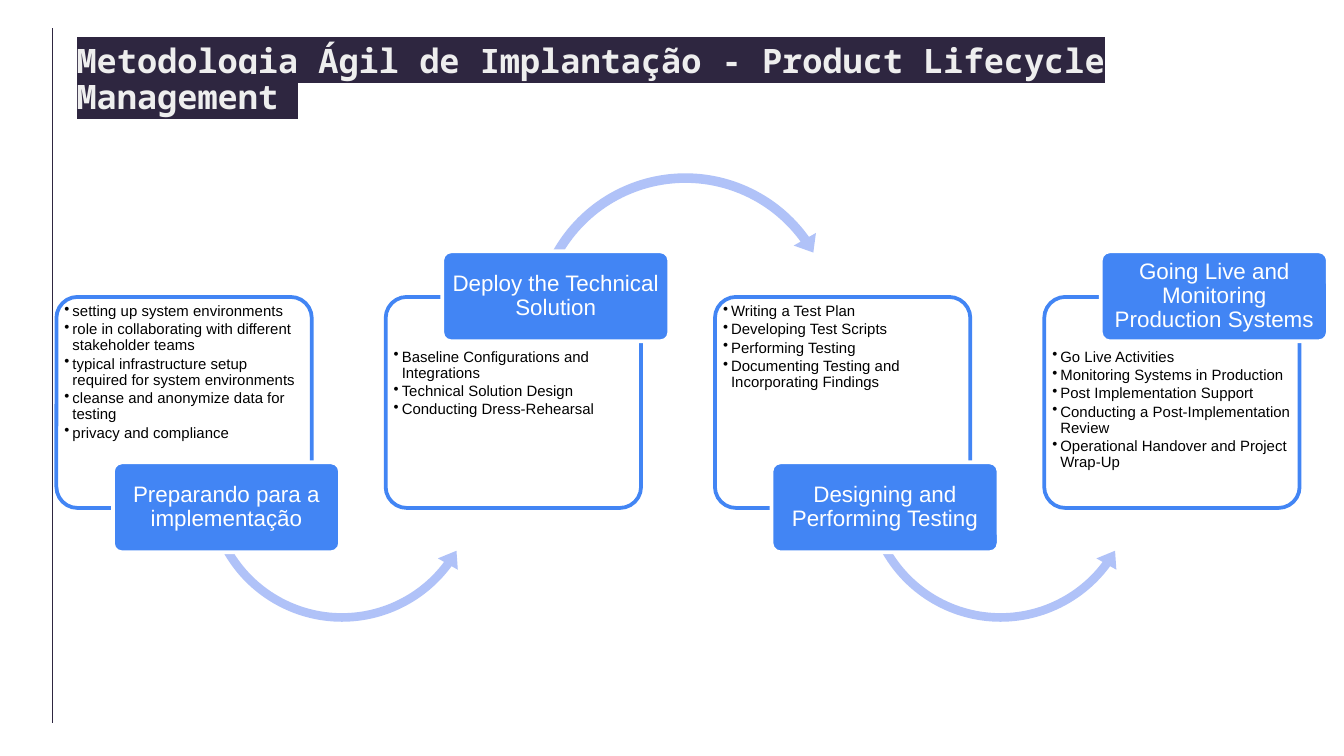
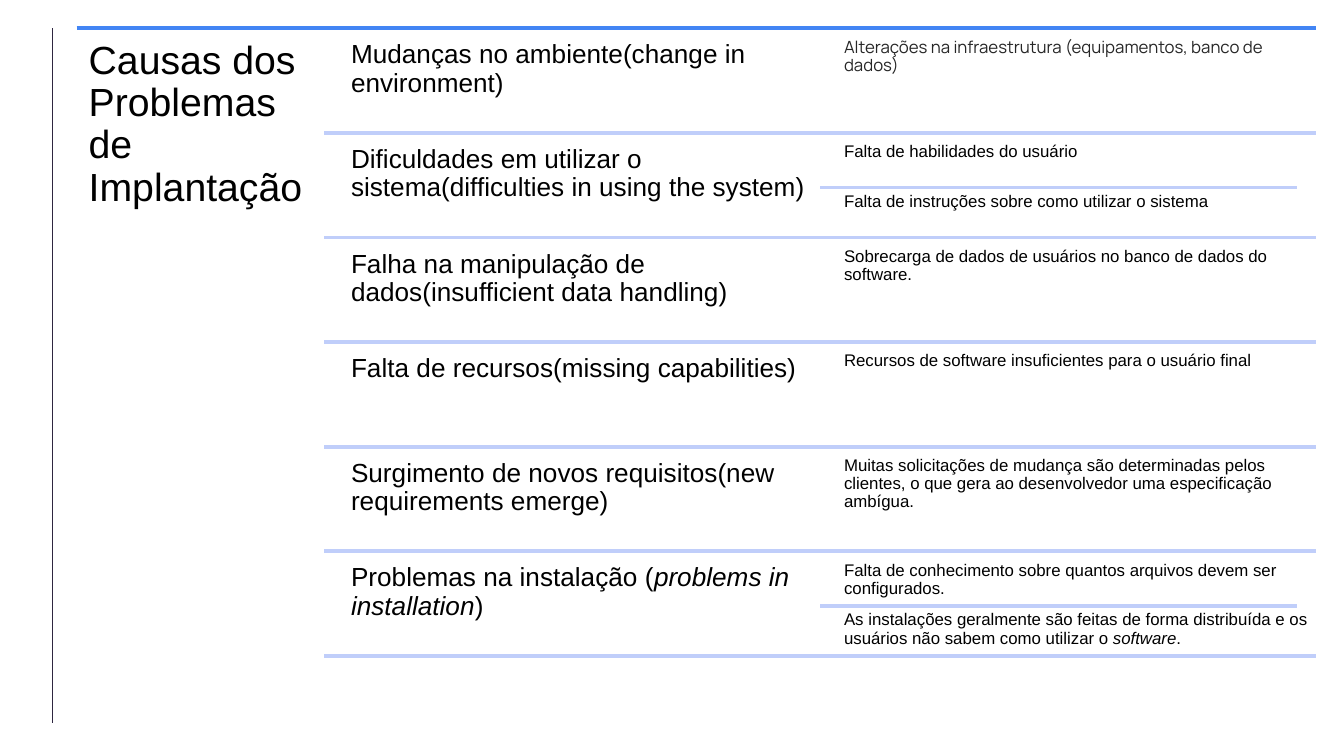
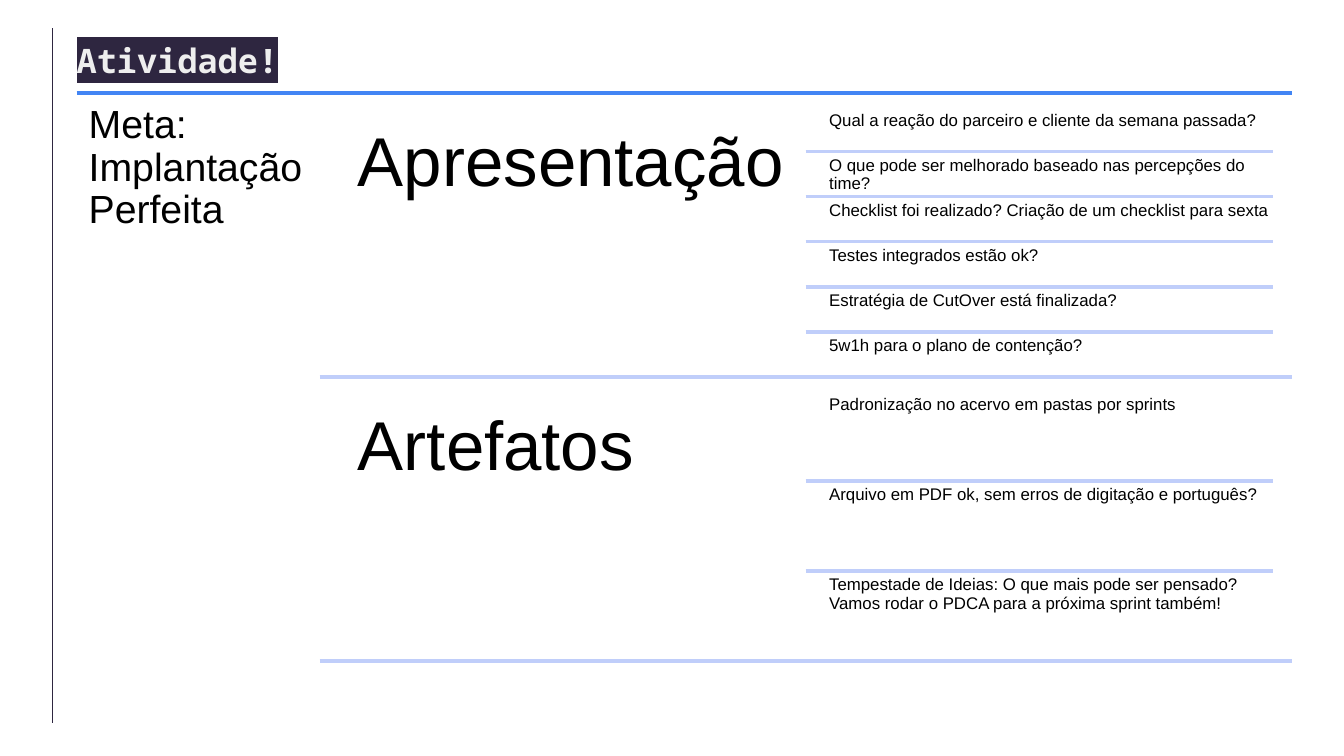
from typing import NamedTuple

from lxml import etree
from pptx import Presentation
from pptx.dml.color import RGBColor
from pptx.enum.shapes import MSO_CONNECTOR, MSO_SHAPE
from pptx.enum.text import MSO_ANCHOR, MSO_AUTO_SIZE, PP_ALIGN
from pptx.oxml.ns import qn
from pptx.util import Pt

STRAIGHT = MSO_CONNECTOR.STRAIGHT
ROUNDED = MSO_SHAPE.ROUNDED_RECTANGLE
ARC_OVER = MSO_SHAPE.CIRCULAR_ARROW
ARC_UNDER = MSO_SHAPE.LEFT_CIRCULAR_ARROW
TOP, MIDDLE = MSO_ANCHOR.TOP, MSO_ANCHOR.MIDDLE
LEFT, CENTER = PP_ALIGN.LEFT, PP_ALIGN.CENTER
GROW = MSO_AUTO_SIZE.SHAPE_TO_FIT_TEXT

PX = 4572
COLORS = {
    "white": "FFFFFF",
    "black": "000000",
    "ink": "262626",
    "night": "2E2640",
    "mist": "EEEEEE",
    "blue": "4285F4",
    "arc": "B0C2F8",
    "rule": "C0CEFA",
}


class TextStyle(NamedTuple):
    size: int
    color: str = "black"
    font: str = "Arial"
    bold: bool = False
    highlight: str = ""


class Detail(NamedTuple):
    text: str
    style: str = "detail"


STYLES = {
    "title": TextStyle(18, "mist", "Noto Sans Mono", True, "night"),
    "step": TextStyle(12, "white"),
    "task": TextStyle(8),
    "goal": TextStyle(21),
    "cause": TextStyle(14),
    "topic": TextStyle(37),
    "detail": TextStyle(9),
    "infrastructure": TextStyle(9, "ink", "Manrope"),
}

STEPS = [
    ("Preparando para a implementação", [
        "setting up system environments",
        "role in collaborating with different stakeholder teams",
        "typical infrastructure setup required for system environments",
        "cleanse and anonymize data for testing",
        "privacy and compliance",
    ]),
    ("Deploy the Technical Solution", [
        "Baseline Configurations and Integrations",
        "Technical Solution Design",
        "Conducting Dress-Rehearsal",
    ]),
    ("Designing and Performing Testing", [
        "Writing a Test Plan",
        "Developing Test Scripts",
        "Performing Testing",
        "Documenting Testing and Incorporating Findings",
    ]),
    ("Going Live and Monitoring Production Systems", [
        "Go Live Activities",
        "Monitoring Systems in Production",
        "Post Implementation Support",
        "Conducting a Post-Implementation Review",
        "Operational Handover and Project Wrap-Up",
    ]),
]

CAUSES = [
    ("Mudanças no ambiente(change in environment)", [
        Detail("Alterações na infraestrutura (equipamentos, banco de dados)",
               "infrastructure"),
    ]),
    ("Dificuldades em utilizar o sistema(difficulties in using the system)", [
        Detail("Falta de habilidades do usuário"),
        Detail("Falta de instruções sobre como utilizar o sistema"),
    ]),
    ("Falha na manipulação de dados(insufficient data handling)", [
        Detail("Sobrecarga de dados de usuários no banco de dados do software."),
    ]),
    ("Falta de recursos(missing capabilities)", [
        Detail("Recursos de software insuficientes para o usuário final"),
    ]),
    ("Surgimento de novos requisitos(new requirements emerge)", [
        Detail("Muitas solicitações de mudança são determinadas pelos clientes, "
               "o que gera ao desenvolvedor uma especificação ambígua."),
    ]),
    ("Problemas na instalação (*problems in installation*)", [
        Detail("Falta de conhecimento sobre quantos arquivos devem ser configurados."),
        Detail("As instalações geralmente são feitas de forma distribuída e os "
               "usuários não sabem como utilizar o *software*."),
    ]),
]

TOPICS = [
    ("Apresentação", [
        Detail("Qual a reação do parceiro e cliente da semana passada?"),
        Detail("O que pode ser melhorado baseado nas percepções do time?"),
        Detail("Checklist foi realizado? Criação de um checklist para sexta"),
        Detail("Testes integrados estão ok?"),
        Detail("Estratégia de CutOver está finalizada?"),
        Detail("5w1h para o plano de contenção?"),
    ]),
    ("Artefatos", [
        Detail("Padronização no acervo em pastas por sprints"),
        Detail("Arquivo em PDF ok, sem erros de digitação e português?"),
        Detail("Tempestade de Ideias: O que mais pode ser pensado? "
               "Vamos rodar o PDCA para a próxima sprint também!"),
    ]),
]


def px(length):
    return round(length * PX)


def rgb(name):
    return RGBColor.from_string(COLORS[name])


def add_color(parent, tag, name):
    holder = etree.SubElement(parent, qn(tag))
    etree.SubElement(holder, qn("a:srgbClr")).set("val", COLORS[name])


class Deck:
    def __init__(self):
        self.presentation = Presentation()
        self.presentation.slide_width = px(2000)
        self.presentation.slide_height = px(1125)
        self.slide = None

    def new_slide(self, title=None, title_width=0):
        layout = self.presentation.slide_layouts[6]
        self.slide = self.presentation.slides.add_slide(layout)
        if title:
            heading = self.text(114, 56, title_width, 80, [title], "title",
                                (0, 10, 10, 10))
            heading.auto_size = GROW
        self.line(78, 42, 78, 1076, "night", 0.75)

    def line(self, x1, y1, x2, y2, color, weight=2):
        rule = self.slide.shapes.add_connector(
            STRAIGHT, px(x1), px(y1), px(x2), px(y2))
        rule.line.color.rgb = rgb(color)
        rule.line.width = Pt(weight)
        etree.SubElement(rule._element.spPr, qn("a:effectLst"))

    def shape(self, preset, x, y, width, height, fill, adjustments,
              outline=None, opacity=100):
        figure = self.slide.shapes.add_shape(
            preset, px(x), px(y), px(width), px(height))
        figure.shadow.inherit = False
        for index, value in enumerate(adjustments):
            figure.adjustments[index] = value
        figure.fill.solid()
        figure.fill.fore_color.rgb = rgb(fill)
        if opacity < 100:
            color = figure._element.spPr.find(qn("a:solidFill"))[0]
            etree.SubElement(color, qn("a:alpha")).set("val", str(opacity * 1000))
        if outline:
            figure.line.color.rgb = rgb(outline)
            figure.line.width = Pt(2)
        else:
            figure.line.fill.background()
        return figure

    def text(self, x, y, width, height, paragraphs, style, insets, bullets=False):
        box = self.slide.shapes.add_textbox(px(x), px(y), px(width), px(height))
        self.fill_text(box.text_frame, paragraphs, style, insets, bullets=bullets)
        return box.text_frame

    def fill_text(self, frame, paragraphs, style, insets, align=LEFT, anchor=TOP,
                  bullets=False):
        frame.word_wrap = True
        frame.vertical_anchor = anchor
        (frame.margin_left, frame.margin_top,
         frame.margin_right, frame.margin_bottom) = map(px, insets)
        for index, content in enumerate(paragraphs):
            paragraph = frame.add_paragraph() if index else frame.paragraphs[0]
            paragraph.alignment = align
            paragraph.line_spacing = 0.9
            if bullets:
                paragraph.space_after = Pt(1.2)
                self.bullet(paragraph)
            for position, part in enumerate(content.split("*")):
                self.run(paragraph, part, STYLES[style], position % 2 == 1)

    def bullet(self, paragraph):
        paragraph.level = 1
        properties = paragraph._p.get_or_add_pPr()
        properties.set("marL", str(px(12)))
        properties.set("indent", str(px(-12)))
        add_color(properties, "a:buClr", "black")
        etree.SubElement(properties, qn("a:buChar")).set("char", "•")

    def run(self, paragraph, content, style, italic):
        run = paragraph.add_run()
        run.text = content
        run.font.size = Pt(style.size)
        run.font.bold = style.bold
        run.font.italic = italic
        run.font.color.rgb = rgb(style.color)
        if style.highlight:
            add_color(run._r.get_or_add_rPr(), "a:highlight", style.highlight)
        run.font.name = style.font

    def step(self, index, name, tasks):
        x = 84 + 490 * index
        raised = index % 2 == 1
        self.shape(ROUNDED, x, 442, 380, 314, "white", [0.1], "blue", 90)
        self.text(x + 8, 516 if raised else 448, 366, 232, tasks, "task",
                  (4, 4, 4, 4), bullets=True)
        if index < len(STEPS) - 1:
            if raised:
                self.shape(ARC_OVER, x + 208, 246, 476, 476, "arc",
                           [0.03, 3.69, 194.56, 125.76, 0.04])
            else:
                self.shape(ARC_UNDER, x + 212, 510, 426, 426, "arc",
                           [0.03, 4.14, 21.89, 90.25, 0.04])
        tag = self.shape(ROUNDED, x + 84, 374 if raised else 688, 338, 134,
                         "blue", [0.1], "white")
        self.fill_text(tag.text_frame, [name], "step", (10, 8, 10, 8),
                       CENTER, MIDDLE)

    def outline(self, top, width, height, goal, goal_height, rows, row_style, inset):
        left = 114
        right = left + width
        branch = left + width * 0.2
        split = left + width * 0.6
        margin = width * 0.015
        column = width * 0.385
        pitch = height / len(rows)
        gap = pitch / 21
        self.line(left, top, right, top, "blue")
        self.text(left, top, width * 0.2, goal_height, [goal], "goal", (18,) * 4)
        for index, (name, details) in enumerate(rows):
            row_top = top + pitch * index + gap
            self.text(branch + margin, row_top, column, pitch - gap, [name],
                      row_style, (inset,) * 4)
            detail_height = (pitch - gap) / len(details)
            for order, detail in enumerate(details):
                y = row_top + detail_height * order
                if order:
                    self.line(split, y, split + column, y, "rule")
                self.text(split + margin, y, column, detail_height,
                          [detail.text], detail.style, (8,) * 4)
            bottom = row_top + pitch - gap
            self.line(branch, bottom, right, bottom, "rule")


def main():
    deck = Deck()

    deck.new_slide("Metodologia Ágil de Implantação - Product Lifecycle Management ",
                   1540)
    for index, (name, tasks) in enumerate(STEPS):
        deck.step(index, name, tasks)

    deck.new_slide()
    deck.outline(42, 1844, 934, "Causas dos Problemas de Implantação", 942,
                 CAUSES, "cause", 12)

    deck.new_slide("Atividade!", 1324)
    deck.outline(138, 1808, 846, "Meta: Implantação Perfeita", 868,
                 TOPICS, "topic", 30)

    deck.presentation.save("out.pptx")


if __name__ == "__main__":
    main()
